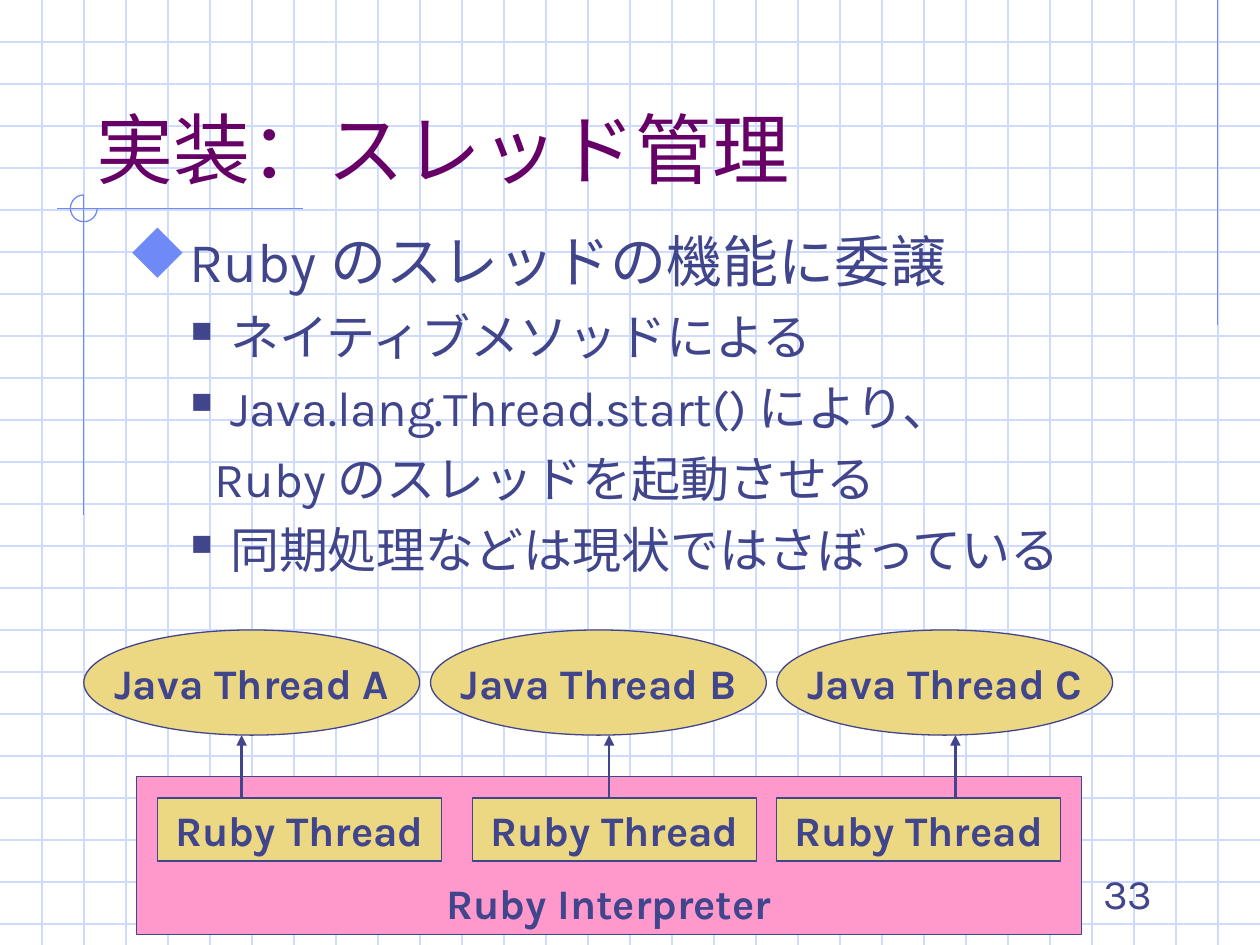
from typing import NamedTuple

from lxml import etree
from pptx import Presentation
from pptx.dml.color import RGBColor
from pptx.enum.shapes import MSO_CONNECTOR, MSO_SHAPE
from pptx.enum.text import MSO_ANCHOR, PP_ALIGN
from pptx.oxml.ns import qn
from pptx.util import Cm, Pt

STRAIGHT = MSO_CONNECTOR.STRAIGHT
RECT, OVAL, ARC = MSO_SHAPE.RECTANGLE, MSO_SHAPE.OVAL, MSO_SHAPE.ARC
TOP, MIDDLE, BOTTOM = MSO_ANCHOR.TOP, MSO_ANCHOR.MIDDLE, MSO_ANCHOR.BOTTOM
LEFT, CENTER, RIGHT = PP_ALIGN.LEFT, PP_ALIGN.CENTER, PP_ALIGN.RIGHT

FONT = "Karla"
BULLET_FONT = "Wingdings"
COLORS = {
    "grid": "CFDBFD", "accent": "6F89F7", "title": "660066",
    "ink": "40458C", "pink": "FF99CC", "sand": "ECD882",
}
WIDTH, HEIGHT = 25.4, 19.05
GRID = WIDTH / 30


class Box(NamedTuple):
    left: float
    top: float
    width: float
    height: float


class Bullet(NamedTuple):
    char: str
    color: str
    percent: int


class Item(NamedTuple):
    text: str
    size: int
    before: int
    margin: float
    indent: float
    bullet: Bullet | None


class Thread(NamedTuple):
    name: str
    oval_left: float
    box_left: float
    arrow_x: float


# In the symbol font, "u" is a diamond and "n" a square
DIAMOND = Bullet("u", "accent", 110)
SQUARE = Bullet("n", "ink", 60)
ITEMS = [
    Item("Ruby のスレッドの機能に委譲", 32, 8, 0.95, -0.95, DIAMOND),
    Item("ネイティブメソッドによる", 28, 7, 2.06, -0.79, SQUARE),
    Item("Java.lang.Thread.start() により、", 28, 7, 2.06, -0.79, SQUARE),
    Item("Ruby のスレッドを起動させる", 28, 7, 1.75, 0, None),
    Item("同期処理などは現状ではさぼっている", 28, 7, 2.06, -0.79, SQUARE),
]
THREADS = [
    Thread("Java Thread A", 1.69, 3.18, 4.87),
    Thread("Java Thread B", 8.68, 9.53, 12.28),
    Thread("Java Thread C", 15.66, 15.66, 19.26),
]


def rgb(name: str) -> RGBColor:
    return RGBColor.from_string(COLORS[name])


def add_line(shapes, x1: float, y1: float, x2: float, y2: float,
             color: str, width: float = 0.75, arrow: bool = False) -> None:
    s = shapes.add_connector(STRAIGHT, Cm(x1), Cm(y1), Cm(x2), Cm(y2))
    s.line.color.rgb = rgb(color)
    s.line.width = Pt(width)
    if arrow:
        etree.SubElement(s.line._get_or_add_ln(), qn("a:tailEnd"), type="triangle")
    etree.SubElement(s._element.spPr, qn("a:effectLst"))


def style_paragraph(p, text: str, size: int, color: str,
                    align: PP_ALIGN = LEFT, bold: bool = False) -> None:
    p.text = text
    p.alignment = align
    p.font.name = FONT
    p.font.size = Pt(size)
    p.font.bold = bold
    p.font.color.rgb = rgb(color)
    # East Asian characters follow the same font
    latin = p._p.pPr.find(qn("a:defRPr")).find(qn("a:latin"))
    latin.addnext(etree.Element(qn("a:ea"), typeface=FONT))


def set_bullet(p, bullet: Bullet) -> None:
    color = etree.Element(qn("a:buClr"))
    etree.SubElement(color, qn("a:srgbClr"), val=COLORS[bullet.color])
    size = etree.Element(qn("a:buSzPct"), val=str(bullet.percent * 1000))
    font = etree.Element(qn("a:buFont"), typeface=BULLET_FONT,
                         pitchFamily="2", charset="2")
    char = etree.Element(qn("a:buChar"), char=bullet.char)
    font_props = p._p.pPr.find(qn("a:defRPr"))
    for element in (color, size, font, char):
        font_props.addprevious(element)


def add_text_frame(shapes, box: Box, anchor: MSO_ANCHOR):
    tf = shapes.add_textbox(*map(Cm, box)).text_frame
    tf.word_wrap = True
    tf.vertical_anchor = anchor
    return tf


def add_shape(shapes, kind: MSO_SHAPE, box: Box, fill: str, text: str = "") -> None:
    s = shapes.add_shape(kind, *map(Cm, box))
    s.shadow.inherit = False
    s.fill.solid()
    s.fill.fore_color.rgb = rgb(fill)
    s.line.color.rgb = rgb("ink")
    s.line.width = Pt(0.75)
    if text:
        tf = s.text_frame
        tf.word_wrap = False
        tf.vertical_anchor = MIDDLE
        style_paragraph(tf.paragraphs[0], text, 24, "ink", CENTER, bold=True)


def add_background(shapes) -> None:
    # Squared paper
    for i in range(1, 23):
        add_line(shapes, 0, i * GRID, WIDTH, i * GRID, "grid")
    for i in range(1, 30):
        add_line(shapes, i * GRID, 0, i * GRID, HEIGHT, "grid")
    # Accent lines and the open circle where two of them cross
    add_line(shapes, 24.55, 0, 24.55, 6.55, "accent")
    add_line(shapes, 6.1, 4.2, 1.15, 4.2, "accent")
    add_line(shapes, 1.69, 3.93, 1.69, 10.39, "accent")
    s = shapes.add_shape(ARC, Cm(1.42), Cm(3.93), Cm(0.54), Cm(0.54))
    s.adjustments[0] = 0
    s.adjustments[1] = 162  # 270 degrees
    s.shadow.inherit = False
    s.fill.background()
    s.line.color.rgb = rgb("accent")
    s.line.width = Pt(0.75)


def add_body(shapes) -> None:
    tf = add_text_frame(shapes, Box(2.33, 4.45, 21.59, 11.43), TOP)
    for i, item in enumerate(ITEMS):
        p = tf.add_paragraph() if i else tf.paragraphs[0]
        style_paragraph(p, item.text, item.size, "ink")
        p.space_before = Pt(item.before)
        p._p.pPr.set("marL", str(Cm(item.margin)))
        p._p.pPr.set("indent", str(Cm(item.indent)))
        if item.bullet:
            set_bullet(p, item.bullet)


def add_diagram(shapes) -> None:
    # Interpreter with its caption
    add_shape(shapes, RECT, Box(2.75, 15.66, 19.05, 3.18), "pink")
    tf = add_text_frame(shapes, Box(2.75, 17.57, 19.05, 1.27), TOP)
    style_paragraph(tf.paragraphs[0], "Ruby Interpreter", 24, "ink", CENTER, bold=True)
    # Each Ruby thread drives one Java thread
    for t in THREADS:
        add_shape(shapes, RECT, Box(t.box_left, 16.09, 5.72, 1.27), "sand", "Ruby Thread")
        add_shape(shapes, OVAL, Box(t.oval_left, 12.7, 6.77, 2.12), "sand", t.name)
        add_line(shapes, t.arrow_x, 16.09, t.arrow_x, 14.82, "ink", 1.5, arrow=True)


def main() -> None:
    prs = Presentation()
    prs.slide_width, prs.slide_height = Cm(WIDTH), Cm(HEIGHT)
    shapes = prs.slides.add_slide(prs.slide_layouts[6]).shapes

    add_background(shapes)
    # Title
    tf = add_text_frame(shapes, Box(1.69, 0.85, 21.59, 3.18), BOTTOM)
    style_paragraph(tf.paragraphs[0], "実装：スレッド管理", 44, "title")
    add_body(shapes)
    add_diagram(shapes)
    # Page number
    tf = add_text_frame(shapes, Box(18.2, 17.36, 5.29, 1.27), BOTTOM)
    style_paragraph(tf.paragraphs[0], "33", 24, "ink", RIGHT)

    prs.save("out.pptx")


if __name__ == "__main__":
    main()
